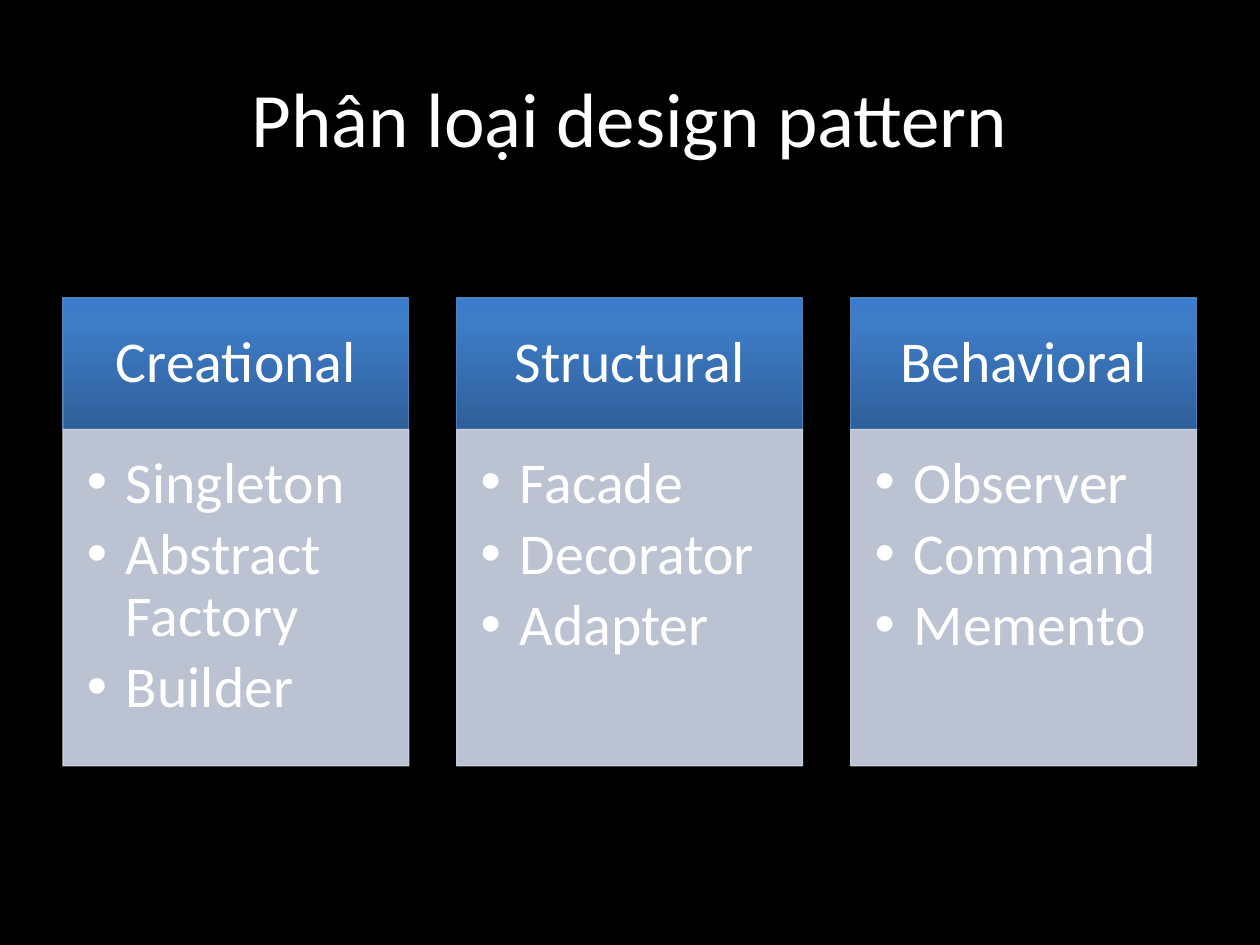
"""Build a slide that sorts design patterns into three titled lists."""
from copy import deepcopy
from dataclasses import dataclass

from lxml import etree
from pptx import Presentation
from pptx.dml.color import RGBColor
from pptx.enum.shapes import MSO_SHAPE
from pptx.enum.text import MSO_ANCHOR, PP_ALIGN
from pptx.oxml.ns import qn
from pptx.util import Cm, Pt

RECTANGLE = MSO_SHAPE.RECTANGLE
TOP, MIDDLE = MSO_ANCHOR.TOP, MSO_ANCHOR.MIDDLE
LEFT, CENTER = PP_ALIGN.LEFT, PP_ALIGN.CENTER

COLORS = {
    "background": "000000",
    "text": "FFFFFF",
    "header_bottom": "2F5F99",
    "header_middle": "3D7CC7",
    "header_top": "3A7CCB",
    "header_line": "4F81BD",
    "list": "D0D8E8",
}
HEADER_STOPS = [(0, "header_bottom"), (0.8, "header_middle"), (1, "header_top")]
FONT = "Calibri"
TITLE_ONLY_LAYOUT = 5
FIRST_LEFT, COLUMN_PITCH, COLUMN_WIDTH = 1.27, 7.94, 6.97
HEADER_TOP, HEADER_HEIGHT, LIST_HEIGHT = 6.01, 2.65, 6.78
BULLET_INDENT = Cm(0.79)
LIST_ALPHA = "90000"


@dataclass(frozen=True)
class Category:
    name: str
    patterns: tuple[str, ...]


CATEGORIES = [
    Category("Creational", ("Singleton", "Abstract Factory", "Builder")),
    Category("Structural", ("Facade", "Decorator", "Adapter")),
    Category("Behavioral", ("Observer", "Command", "Memento")),
]


def rgb(color: str) -> RGBColor:
    return RGBColor.from_string(COLORS[color])


def add_bullet(paragraph) -> None:
    paragraph.level = 1
    properties = paragraph._p.get_or_add_pPr()
    properties.set("marL", str(BULLET_INDENT))
    properties.set("indent", str(-BULLET_INDENT))
    etree.SubElement(properties, qn("a:buFont"), typeface="Arial")
    etree.SubElement(properties, qn("a:buChar"), char="•")


def write_text(shape, lines, *, size=33, align=CENTER, anchor=MIDDLE, margins=None,
               line_spacing=0.9, space_after=0, bulleted=False) -> None:
    frame = shape.text_frame
    frame.word_wrap = True
    frame.vertical_anchor = anchor
    if margins:
        (frame.margin_left, frame.margin_top,
         frame.margin_right, frame.margin_bottom) = map(Cm, margins)
    frame.text = "\n".join(lines)
    for paragraph in frame.paragraphs:
        paragraph.alignment = align
        paragraph.line_spacing = line_spacing
        paragraph.space_after = Pt(space_after)
        paragraph.font.name = FONT
        paragraph.font.size = Pt(size)
        paragraph.font.color.rgb = rgb("text")
        if bulleted:
            add_bullet(paragraph)


def add_panel(slide, left: float, top: float, height: float, line_color: str):
    panel = slide.shapes.add_shape(
        RECTANGLE, Cm(left), Cm(top), Cm(COLUMN_WIDTH), Cm(height))
    panel.shadow.inherit = False
    panel.line.color.rgb = rgb(line_color)
    panel.line.width = Pt(0.75)
    return panel


def add_header(slide, category: Category, left: float) -> None:
    header = add_panel(slide, left, HEADER_TOP, HEADER_HEIGHT, "header_line")
    header.fill.gradient()
    header.fill.gradient_angle = 90
    stop_list = header.element.spPr.find(".//" + qn("a:gsLst"))
    stop_list.append(deepcopy(stop_list[-1]))
    for stop, (position, color) in zip(header.fill.gradient_stops, HEADER_STOPS):
        stop.position = position
        stop.color.rgb = rgb(color)
    write_text(header, [category.name], margins=(0.66, 0.38, 0.66, 0.38))


def add_pattern_list(slide, category: Category, left: float) -> None:
    pattern_list = add_panel(
        slide, left, HEADER_TOP + HEADER_HEIGHT, LIST_HEIGHT, "list")
    pattern_list.fill.solid()
    pattern_list.fill.fore_color.rgb = rgb("list")
    for color in pattern_list.element.spPr.iter(qn("a:srgbClr")):
        etree.SubElement(color, qn("a:alpha"), val=LIST_ALPHA)
    write_text(pattern_list, category.patterns, align=LEFT, anchor=TOP,
               margins=(0.48, 0.48, 0.66, 0.74), space_after=5, bulleted=True)


def main() -> None:
    presentation = Presentation()
    presentation.slide_width, presentation.slide_height = Cm(25.4), Cm(19.05)
    slide = presentation.slides.add_slide(
        presentation.slide_layouts[TITLE_ONLY_LAYOUT])
    slide.background.fill.solid()
    slide.background.fill.fore_color.rgb = rgb("background")

    title = slide.shapes.title
    title.left, title.top, title.width, title.height = map(
        Cm, (1.27, 0.76, 22.86, 3.18))
    write_text(title, ["Phân loại design pattern"], size=44, line_spacing=1)

    for column, category in enumerate(CATEGORIES):
        left = FIRST_LEFT + column * COLUMN_PITCH
        add_header(slide, category, left)
        add_pattern_list(slide, category, left)
    presentation.save("out.pptx")


if __name__ == "__main__":
    main()
